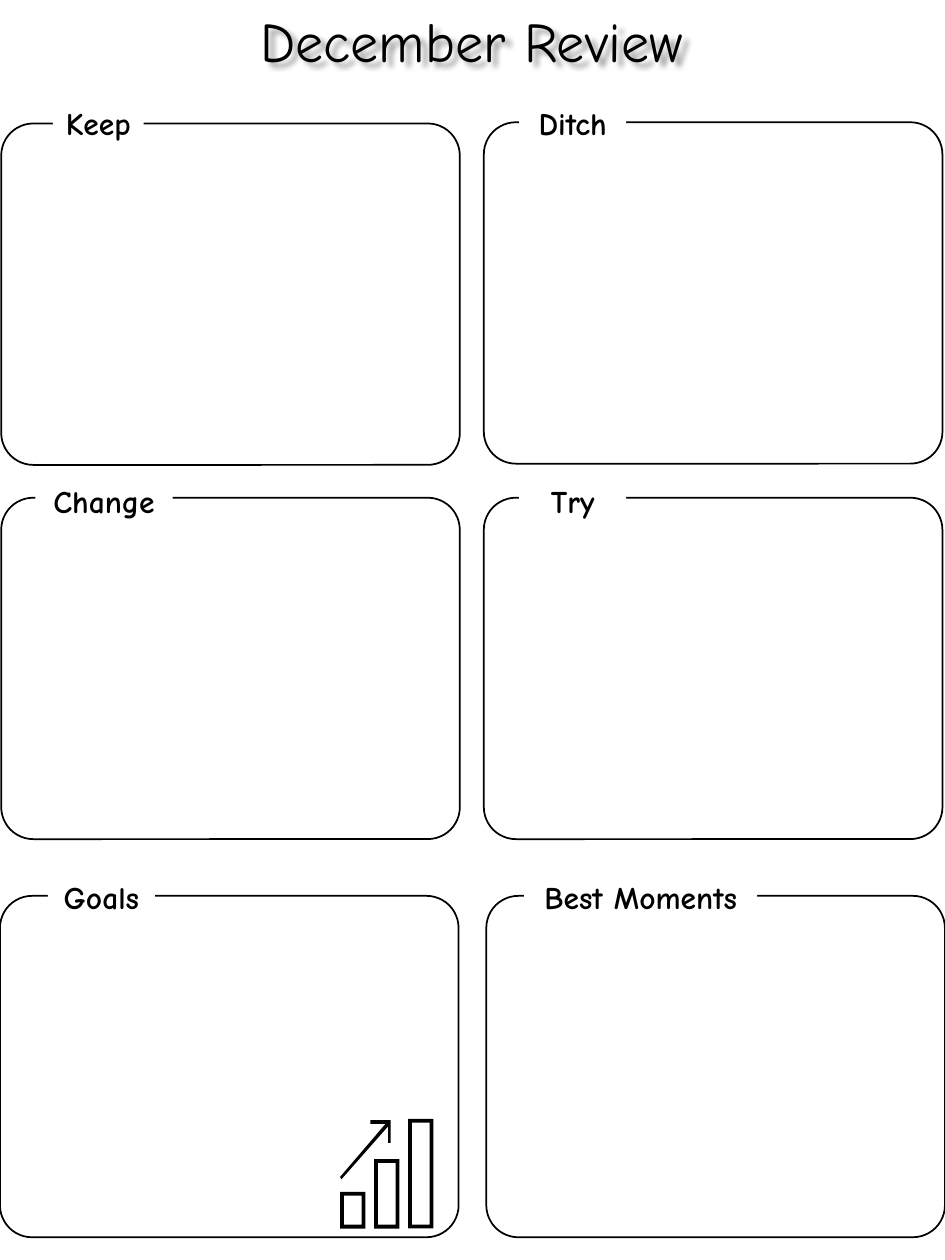
from lxml import etree
from pptx import Presentation
from pptx.dml.color import RGBColor
from pptx.enum import shapes, text
from pptx.oxml import parse_xml
from pptx.oxml.ns import nsdecls
from pptx.util import Inches, Pt

BLACK = RGBColor(0, 0, 0)
WHITE = RGBColor(255, 255, 255)
FONT = "Comic Neue"
TITLE = "December Review"
BOX_W, BOX_H = 3.64, 2.71
LABEL_H = 0.4

# label, box left, box top, label left, label top, label width
SECTIONS = [
    ("Ditch", 3.84, 0.97, 4.12, 0.78, 0.85),
    ("Try", 3.84, 3.95, 4.12, 3.78, 0.85),
    ("Best Moments", 3.86, 7.11, 4.16, 6.92, 1.85),
    ("Keep", 0.01, 0.98, 0.42, 0.78, 0.72),
    ("Change", 0.01, 3.95, 0.28, 3.78, 1.09),
    ("Goals", 0, 7.11, 0.38, 6.92, 0.85),
]
BARS = [(3.24, 8.88), (2.97, 9.2), (2.7, 9.46)]
BAR_W, BAR_BOTTOM, BAR_EDGE = 0.2, 9.75, 0.03
ARROW = [(3.08, 9.07), (3.08, 8.94), (2.71, 9.36), (2.7, 9.34), (3.06, 8.92),
         (2.94, 8.92), (2.94, 8.89), (3.1, 8.89), (3.1, 9.07)]
SHADOW = (
    f'<a:effectLst {nsdecls("a")}>'
    '<a:outerShdw blurRad="38100" dist="50800" dir="2700000" algn="tl" rotWithShape="0">'
    '<a:srgbClr val="000000"><a:alpha val="40000"/></a:srgbClr>'
    '</a:outerShdw></a:effectLst>'
)


def place(sp, *box):
    sp.left, sp.top, sp.width, sp.height = map(Inches, box)


def write(sp, words, size, bold=False):
    tf = sp.text_frame
    tf.text = words
    tf.word_wrap = False
    tf.auto_size = text.MSO_AUTO_SIZE.SHAPE_TO_FIT_TEXT
    tf.vertical_anchor = text.MSO_ANCHOR.TOP
    p = tf.paragraphs[0]
    p.alignment = text.PP_ALIGN.CENTER
    p.font.name, p.font.size, p.font.bold = FONT, Pt(size), bold
    p.font.color.rgb = BLACK


def add_box(s, left, top):
    sp = s.shapes.add_shape(shapes.MSO_SHAPE.ROUNDED_RECTANGLE,
                            *map(Inches, (left, top, BOX_W, BOX_H)))
    sp.adjustments[0] = 0.094
    sp.shadow.inherit = False
    sp.fill.background()
    sp.line.color.rgb = BLACK
    sp.line.width = Pt(1)


def add_label(s, words, left, top, width):
    sp = s.shapes.add_shape(shapes.MSO_SHAPE.RECTANGLE,
                            *map(Inches, (left, top, width, LABEL_H)))
    sp.shadow.inherit = False
    sp.fill.solid()
    sp.fill.fore_color.rgb = WHITE
    sp.line.fill.background()
    write(sp, words, 18, True)


def add_outline(group, *contours):
    first, *holes = [[(Inches(x), Inches(y)) for x, y in c] for c in contours]
    builder = group.shapes.build_freeform(*first[0])
    builder.add_line_segments(first[1:])
    for hole in holes:
        builder.move_to(*hole[0])
        builder.add_line_segments(hole[1:])
    sp = builder.convert_to_shape()
    sp.shadow.inherit = False
    sp.fill.solid()
    sp.fill.fore_color.rgb = BLACK
    sp.line.fill.background()


def corners(l, t, r, b):
    return [(l, t), (r, t), (r, b), (l, b), (l, t)]


def add_bar(group, left, top):
    right, e = left + BAR_W, BAR_EDGE
    inner = corners(left + e, top + e, right - e, BAR_BOTTOM - e)
    add_outline(group, corners(left, top, right, BAR_BOTTOM), inner[::-1])


def main():
    prs = Presentation()
    prs.slide_width, prs.slide_height = Inches(7.5), Inches(10)
    s = prs.slides.add_slide(prs.slide_layouts[5])

    title = s.shapes.title
    place(title, 1.63, 0, 4.23, 0.64)
    write(title, TITLE, 32)
    title.element.spPr.append(parse_xml(SHADOW))

    for _, left, top, *_ in SECTIONS:
        add_box(s, left, top)
    for words, _, _, left, top, width in SECTIONS:
        add_label(s, words, left, top, width)

    icon = s.shapes.add_group_shape()
    for left, top in BARS:
        add_bar(icon, left, top)
    add_outline(icon, ARROW + ARROW[:1])

    prs.save("out.pptx")


if __name__ == "__main__":
    main()
